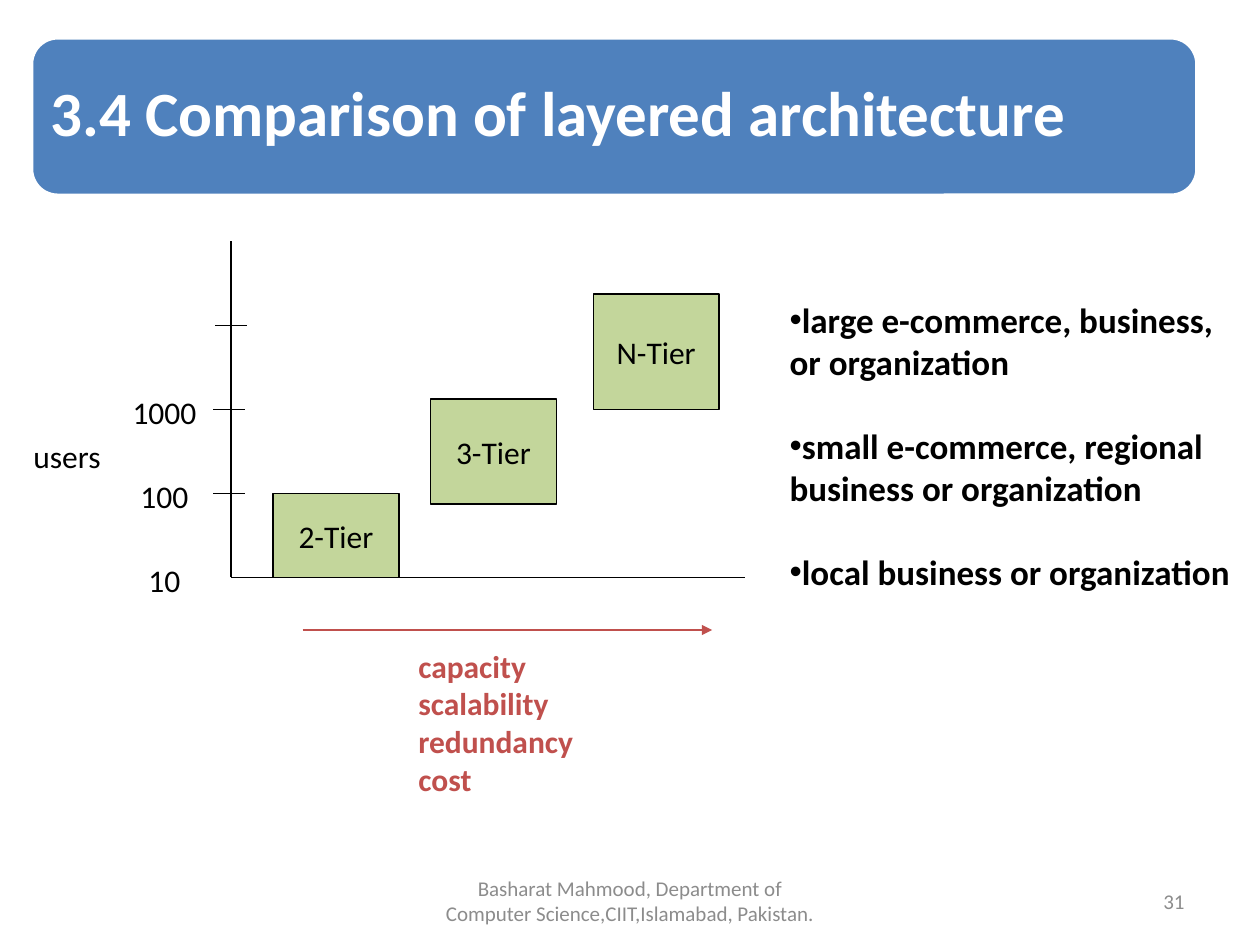
import pptx
import pptx.dml.color
import pptx.enum.shapes
import pptx.enum.text
import pptx.oxml
import pptx.oxml.ns
import pptx.util

Pt = pptx.util.Pt
RGBColor = pptx.dml.color.RGBColor
Align = pptx.enum.text.PP_ALIGN
Anchor = pptx.enum.text.MSO_ANCHOR
Shape = pptx.enum.shapes.MSO_SHAPE

BLUE = RGBColor(0x4F, 0x81, 0xBD)
GREEN = RGBColor(0xC3, 0xD6, 0x9B)
RED = RGBColor(0xC0, 0x50, 0x4D)
GRAY = RGBColor(0x8C, 0x8C, 0x8C)
BLACK = RGBColor(0, 0, 0)
WHITE = RGBColor(0xFF, 0xFF, 0xFF)

AXIS_LEFT, AXIS_RIGHT, AXIS_TOP, AXIS_BASE = 132, 426, 138, 330
TICK_GAP = 48
TIER_WIDTH = 72
TIERS = [("2-Tier", 156, 282, 48), ("3-Tier", 246, 228, 60), ("N-Tier", 339, 168, 66)]
AUDIENCES = [
    "large e-commerce, business, or organization",
    "small e-commerce, regional business or organization",
    "local business or organization",
]
GROWTH = ["capacity", "scalability", "redundancy", "cost"]


def apply_format(target, values):
    """Set each attribute named in values on the target."""
    for name, value in values.items():
        setattr(target, name, value)


def place(shape, left, top, width, height):
    """Move and size a shape in points."""
    names = ("left", "top", "width", "height")
    apply_format(shape, dict(zip(names, map(Pt, (left, top, width, height)))))


def write(shape, lines, size, color, bold=False, bullet=None, frame=None, para=None):
    """Fill a shape with one formatted paragraph per line."""
    text = shape.text_frame
    apply_format(text, {"word_wrap": True, "auto_size": pptx.enum.text.MSO_AUTO_SIZE.NONE,
                        "vertical_anchor": Anchor.TOP, **(frame or {})})
    for index, line in enumerate(lines):
        paragraph = text.add_paragraph() if index else text.paragraphs[0]
        if bullet:
            add_bullet(paragraph, bullet)
        apply_format(paragraph, {"alignment": Align.LEFT, **(para or {})})
        if not index:
            paragraph.space_before = Pt(0)
        span = paragraph.add_run()
        span.text = line
        apply_format(span.font, {"name": "Calibri", "size": Pt(size), "bold": bold})
        span.font.color.rgb = color


def add_bullet(paragraph, symbol):
    """Give a paragraph a bullet with no hanging indent."""
    properties = paragraph._p.get_or_add_pPr()
    properties.set("marL", "0")
    properties.set("indent", "0")
    mark = pptx.oxml.parse_xml(f'<a:buChar {pptx.oxml.ns.nsdecls("a")} char="{symbol}"/>')
    properties.append(mark)


def add_label(page, area, lines, size, color, **formats):
    """Add a text box with formatted lines."""
    box = page.shapes.add_textbox(*map(Pt, area))
    write(box, lines, size, color, **formats)


def add_block(page, kind, area, fill, line, weight):
    """Add a filled and outlined shape."""
    block = page.shapes.add_shape(kind, *map(Pt, area))
    block.shadow.inherit = False
    block.fill.solid()
    block.fill.fore_color.rgb = fill
    block.line.color.rgb = line
    block.line.width = Pt(weight)
    return block


def add_line(page, start, end, color=BLACK, arrow=False):
    """Add a thin straight line, with an arrowhead if asked."""
    straight = pptx.enum.shapes.MSO_CONNECTOR.STRAIGHT
    line = page.shapes.add_connector(straight, *map(Pt, start + end))
    line.line.color.rgb = color
    line.line.width = Pt(0.75)
    names = pptx.oxml.ns.nsdecls("a")
    if arrow:
        head = pptx.oxml.parse_xml(f'<a:tailEnd {names} type="triangle"/>')
        line.line._get_or_add_ln().append(head)
    line._element.spPr.append(pptx.oxml.parse_xml(f"<a:effectLst {names}/>"))


def add_title(page):
    """Set the title on its rounded banner."""
    area = (18, 21.6, 666, 90)
    title = page.shapes.title
    banner = add_block(page, Shape.ROUNDED_RECTANGLE, area, BLUE, WHITE, 2)
    title._element.addprevious(banner._element)
    place(title, *area)
    margins = dict.fromkeys(
        ("margin_left", "margin_right", "margin_top", "margin_bottom"), Pt(10.8))
    write(title, ["3.4 Comparison of layered architecture"], 36, WHITE, bold=True,
          frame={"vertical_anchor": Anchor.MIDDLE, **margins},
          para={"line_spacing": 0.9})


def add_axes(page):
    """Draw the user axis with its ticks and labels."""
    add_line(page, (AXIS_LEFT, AXIS_TOP), (AXIS_LEFT, AXIS_BASE))
    add_line(page, (AXIS_LEFT, AXIS_BASE), (AXIS_RIGHT, AXIS_BASE))
    for step, left in enumerate((122, 122, 123), start=1):
        level = AXIS_BASE - step * TICK_GAP
        add_line(page, (left, level), (left + 18, level))
    for step, label in enumerate(("10", "100", "1000")):
        top = AXIS_BASE - step * TICK_GAP - 13
        add_label(page, (66, top, 56, 29), [label], 18, BLACK,
                  para={"alignment": Align.CENTER})
    add_label(page, (12, 246, 58, 29), ["users"], 18, BLACK)


def add_tiers(page):
    """Draw one block per architecture."""
    for name, left, top, height in TIERS:
        area = (left, top, TIER_WIDTH, height)
        block = add_block(page, Shape.RECTANGLE, area, GREEN, BLACK, 0.75)
        write(block, [name], 18, BLACK, frame={"vertical_anchor": Anchor.MIDDLE},
              para={"alignment": Align.CENTER})


def add_footer(page):
    """Add the author line and the page number."""
    author = "Basharat Mahmood, Department of Computer Science,CIIT,Islamabad, Pakistan."
    for text, left, width, side in ((author, 246, 228, Align.CENTER),
                                    ("31", 516, 168, Align.RIGHT)):
        add_label(page, (left, 500.5, width, 28.75), [text], 12, GRAY,
                  frame={"vertical_anchor": Anchor.MIDDLE}, para={"alignment": side})


def main():
    """Build the slide and save it."""
    deck = pptx.Presentation()
    apply_format(deck, {"slide_width": Pt(720), "slide_height": Pt(540)})
    page = deck.slides.add_slide(deck.slide_layouts[1])
    add_title(page)
    add_axes(page)
    add_tiers(page)
    body = page.placeholders[1]
    place(body, 444, 167, 276, 177)
    write(body, AUDIENCES, 20, BLACK, bold=True, bullet="•",
          para={"space_before": Pt(24)})
    add_line(page, (173, 360), (407, 360), RED, arrow=True)
    add_label(page, (232, 366, 117, 94), GROWTH, 18, RED, bold=True)
    add_footer(page)
    deck.save("out.pptx")


if __name__ == "__main__":
    main()
